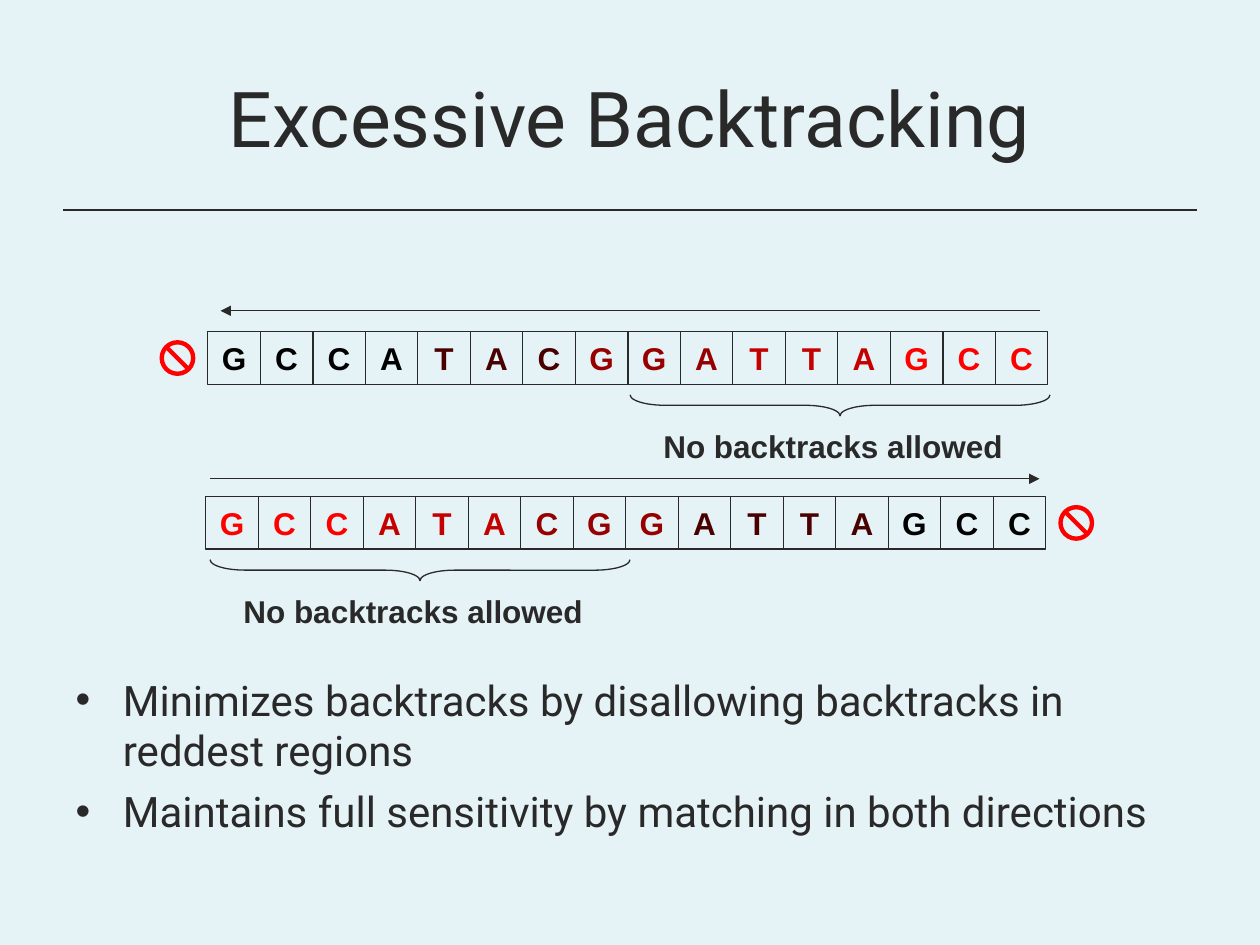
from lxml import etree
from pptx import Presentation
from pptx import util as u
from pptx.dml.color import RGBColor
from pptx.enum import shapes, text
from pptx.oxml import ns

PX = 7620
CELL = 50
BACKGROUND = RGBColor(0xE6, 0xF3, 0xF6)
INK = RGBColor(0x29, 0x29, 0x29)
RED = RGBColor(0xFF, 0x00, 0x00)
CRIMSON = RGBColor(0xC4, 0x00, 0x00)
MAROON = RGBColor(0x96, 0x00, 0x00)
DARK = RGBColor(0x48, 0x00, 0x00)
BLACK = RGBColor(0x00, 0x00, 0x00)
SEQUENCE = "GCCATACGGATTAGCC"


def px(*lengths):
    """Turn px lengths into EMU."""
    return [length * PX for length in lengths]


def set_font(font, name, size, color, bold=False):
    """Set typeface, size, colour and weight of a font."""
    font.name, font.size, font.bold = name, u.Pt(size), bold
    font.color.rgb = color


def add_line(slide, start, end, color=INK, width=0.75, arrow=False):
    """Draw a straight line, with an arrowhead at its end on request."""
    line = slide.shapes.add_connector(
        shapes.MSO_CONNECTOR.STRAIGHT, *px(*start, *end))
    line.line.color.rgb, line.line.width = color, u.Pt(width)
    properties = line.line._get_or_add_ln()
    if arrow:
        etree.SubElement(properties, ns.qn("a:tailEnd"), type="triangle")
    etree.SubElement(line._element.spPr, ns.qn("a:effectLst"))


def add_outline(slide, kind, box, color=INK, width=0.75):
    """Add an unfilled preset shape."""
    shape = slide.shapes.add_shape(kind, *px(*box))
    shape.shadow.inherit = False
    shape.fill.background()
    shape.line.color.rgb, shape.line.width = color, u.Pt(width)
    return shape


def add_cell(slide, left, top, letter, color):
    """Add one boxed letter of the sequence."""
    cell = add_outline(slide, shapes.MSO_SHAPE.RECTANGLE,
                       (left, top, CELL, CELL))
    frame = cell.text_frame
    frame.text, frame.word_wrap = letter, False
    frame.vertical_anchor = text.MSO_ANCHOR.MIDDLE
    paragraph = frame.paragraphs[0]
    paragraph.alignment = text.PP_ALIGN.CENTER
    set_font(paragraph.runs[0].font, "Arial", 18, color, True)


def add_stop_sign(slide, left, top):
    """Draw a red ring with a diagonal bar."""
    add_outline(slide, shapes.MSO_SHAPE.OVAL, (left, top, 30, 30), RED, 2.5)
    add_line(slide, (left + 25, top + 25), (left + 5, top + 5), RED, 2.5)


def add_brace(slide, left, top, length, depth):
    """Draw a downward brace with its caption below."""
    box = (left + (length - depth) // 2, top - (length - depth) // 2,
           depth, length)
    brace = add_outline(slide, shapes.MSO_SHAPE.RIGHT_BRACE, box)
    brace.rotation = 90
    brace.adjustments[0] = 1.67
    caption = slide.shapes.add_textbox(*px(left + 20, top + 25, 360, 48))
    frame = caption.text_frame
    frame.text, frame.word_wrap = "No backtracks allowed", True
    set_font(frame.paragraphs[0].runs[0].font, "Arial", 18, INK, True)


def add_sequence(slide, left, top, shades, arrow, stop, brace):
    """Draw a sequence row with its arrow, stop sign and brace."""
    colors = [color for color, count in shades for _ in range(count)]
    for index, (letter, color) in enumerate(zip(SEQUENCE, colors)):
        add_cell(slide, left + index * CELL, top, letter, color)
    start, end, rise = arrow
    add_line(slide, (left + start, top - rise), (left + end, top - rise),
             arrow=True)
    add_stop_sign(slide, left + stop, top + 10)
    add_brace(slide, left + brace, top + 60, 8 * CELL, 20)


def add_title(slide, left, top, width, height):
    """Fill the title placeholder and rule a line below it."""
    title = slide.shapes.title
    title.left, title.top, title.width, title.height = px(
        left, top, width, height)
    frame = title.text_frame
    frame.text = "Excessive Backtracking"
    frame.vertical_anchor = text.MSO_ANCHOR.MIDDLE
    frame.paragraphs[0].alignment = text.PP_ALIGN.CENTER
    set_font(frame.paragraphs[0].runs[0].font, "Roboto", 44, INK)
    rule = top + height + 14
    add_line(slide, (left, rule), (left + width, rule))


def add_points(slide, left, top, width, height, points):
    """Fill the body placeholder with bulleted points."""
    body = slide.placeholders[1]
    body.left, body.top, body.width, body.height = px(
        left, top, width, height)
    frame = body.text_frame
    frame.text = "\n".join(points)
    frame.auto_size = text.MSO_AUTO_SIZE.NONE
    for index, paragraph in enumerate(frame.paragraphs):
        properties = paragraph._p.get_or_add_pPr()
        properties.set("marL", str(45 * PX))
        properties.set("indent", str(-45 * PX))
        etree.SubElement(properties, ns.qn("a:buChar"), char="•")
        paragraph.space_before = u.Pt(6 if index else 0)
        set_font(paragraph.runs[0].font, "Roboto", 24, INK)


def main():
    """Build the slide and save it."""
    presentation = Presentation()
    presentation.slide_width, presentation.slide_height = px(1200, 900)
    slide = presentation.slides.add_slide(presentation.slide_layouts[1])
    slide.background.fill.solid()
    slide.background.fill.fore_color.rgb = BACKGROUND
    add_title(slide, 60, 36, 1080, 150)
    add_points(slide, 60, 636, 1080, 214, [
        "Minimizes backtracks by disallowing backtracks in reddest regions",
        "Maintains full sensitivity by matching in both directions"])
    add_sequence(
        slide, 198, 316,
        [(BLACK, 4), (DARK, 3), (MAROON, 3), (CRIMSON, 3), (RED, 3)],
        arrow=(792, 12, 20), stop=-44, brace=402)
    add_sequence(
        slide, 196, 473,
        [(RED, 3), (CRIMSON, 3), (MAROON, 3), (DARK, 4), (BLACK, 3)],
        arrow=(4, 794, 17), stop=814, brace=4)
    presentation.save("out.pptx")


if __name__ == "__main__":
    main()
